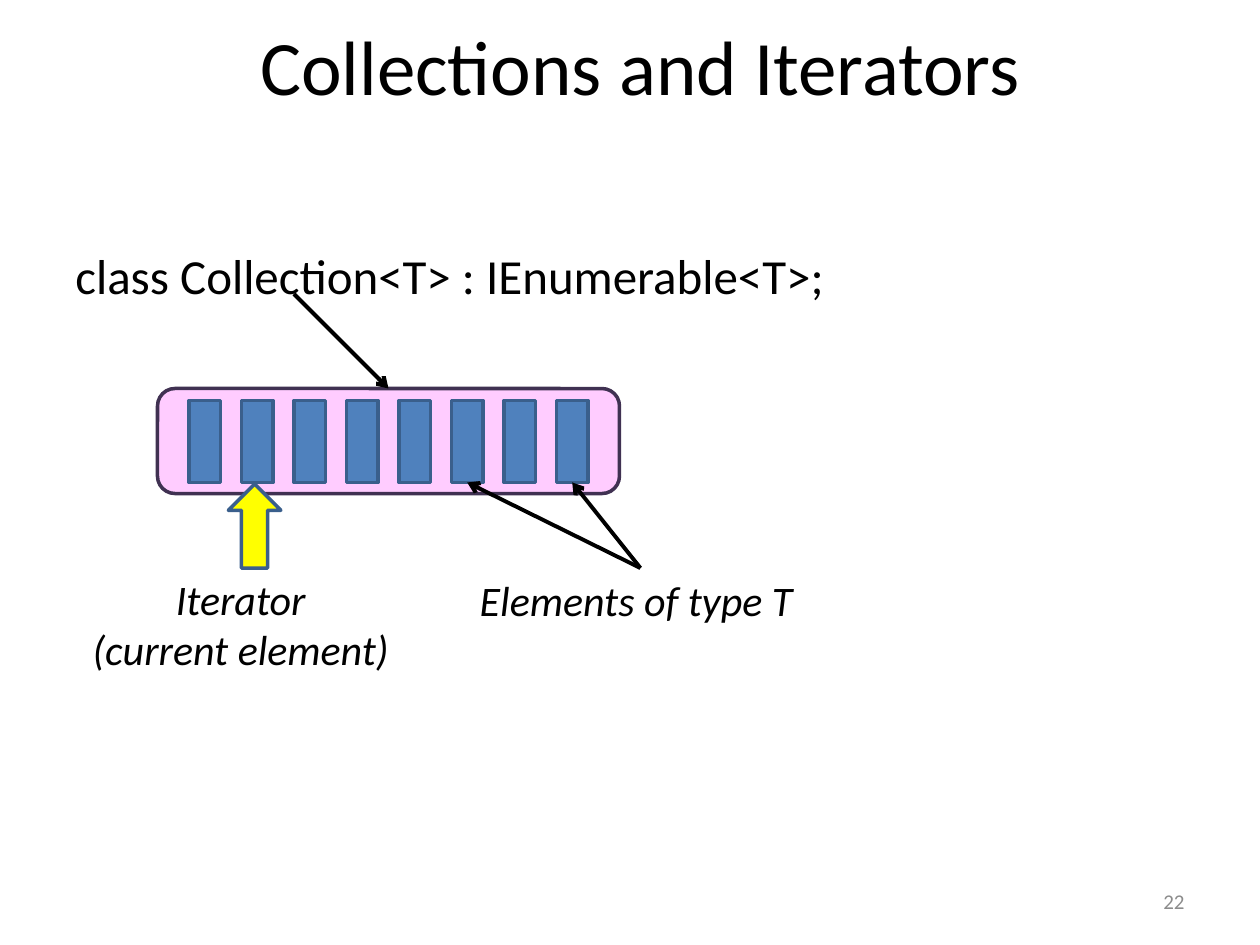
from dataclasses import dataclass

import pptx
import pptx.dml.color
import pptx.enum.shapes
import pptx.enum.text
import pptx.oxml.ns
import pptx.util
from lxml import etree

Align = pptx.enum.text.PP_ALIGN
Anchor = pptx.enum.text.MSO_ANCHOR
Shape = pptx.enum.shapes.MSO_SHAPE

# The slide is a grid of 24 columns by 18 rows of square cells.
COLUMNS, ROWS = 24, 18
WIDTH, HEIGHT = pptx.util.Inches(10), pptx.util.Inches(7.5)


@dataclass(frozen=True)
class Theme:
    font: str = "Calibri"
    ink: str = "000000"
    muted: str = "8C8C8C"
    collection: str = "FFCCFF"
    collection_edge: str = "403152"
    element: str = "4F81BD"
    element_edge: str = "3A5F8C"
    iterator: str = "FFFF00"
    title_size: int = 44
    code_size: int = 28
    label_size: int = 24
    number_size: int = 12
    edge: float = 2
    pointer: float = 2.25


THEME = Theme()


@dataclass(frozen=True)
class Area:
    column: float
    row: float
    columns: float
    rows: float

    def lengths(self) -> tuple:
        return across(self.column), down(self.row), across(self.columns), down(self.rows)


@dataclass(frozen=True)
class Label:
    area: Area
    lines: tuple
    size: int
    align: Align = Align.LEFT
    anchor: Anchor = Anchor.TOP
    color: str = THEME.ink
    italic: bool = False
    wrap: bool = True


@dataclass(frozen=True)
class Pointer:
    start: tuple
    end: tuple


def across(columns: float) -> int:
    return round(WIDTH * columns / COLUMNS)


def down(rows: float) -> int:
    return round(HEIGHT * rows / ROWS)


def rgb(color: str) -> pptx.dml.color.RGBColor:
    return pptx.dml.color.RGBColor.from_string(color)


def draw_label(slide, label: Label) -> None:
    frame = slide.shapes.add_textbox(*label.area.lengths()).text_frame
    frame.word_wrap = label.wrap
    frame.vertical_anchor = label.anchor
    for index, line in enumerate(label.lines):
        para = frame.add_paragraph() if index else frame.paragraphs[0]
        para.alignment = label.align
        span = para.add_run()
        span.text = line
        span.font.name = THEME.font
        span.font.size = pptx.util.Pt(label.size)
        span.font.italic = label.italic
        span.font.color.rgb = rgb(label.color)


def draw_shape(shapes, kind: Shape, area: Area, fill: str, edge: str) -> None:
    shape = shapes.add_shape(kind, *area.lengths())
    shape.shadow.inherit = False
    shape.fill.solid()
    shape.fill.fore_color.rgb = rgb(fill)
    shape.line.color.rgb = rgb(edge)
    shape.line.width = pptx.util.Pt(THEME.edge)


def draw_pointer(slide, pointer: Pointer) -> None:
    (x1, y1), (x2, y2) = pointer.start, pointer.end
    line = slide.shapes.add_connector(
        pptx.enum.shapes.MSO_CONNECTOR.STRAIGHT, across(x1), down(y1), across(x2), down(y2))
    line.line.color.rgb = rgb(THEME.ink)
    line.line.width = pptx.util.Pt(THEME.pointer)
    qn = pptx.oxml.ns.qn
    etree.SubElement(line.line._get_or_add_ln(), qn("a:tailEnd"), type="arrow")
    etree.SubElement(line._element.spPr, qn("a:effectLst"))


def draw_collection(slide) -> None:
    """Draw the container with its eight elements, one per grid column."""
    group = slide.shapes.add_group_shape()
    draw_shape(group.shapes, Shape.ROUNDED_RECTANGLE, Area(3, 7.4, 8.8, 2),
               THEME.collection, THEME.collection_edge)
    for index in range(8):
        draw_shape(group.shapes, Shape.RECTANGLE, Area(3.6 + index, 7.63, 0.6, 1.56),
                   THEME.element, THEME.element_edge)


LABELS = (
    Label(Area(1.4, 0, 21.6, 2.47), ("Collections and Iterators",), THEME.title_size,
          Align.CENTER, Anchor.MIDDLE),
    Label(Area(17.2, 16.68, 5.6, 0.96), ("22",), THEME.number_size,
          Align.RIGHT, Anchor.MIDDLE, THEME.muted),
    Label(Area(1.2, 4.56, 22, 7.7), ("class Collection<T> : IEnumerable<T>;",),
          THEME.code_size),
    Label(Area(8.9, 10.82, 6.6, 1.2), ("Elements of type T",), THEME.label_size,
          italic=True, wrap=False),
    Label(Area(1.44, 10.8, 6.29, 2.18), ("Iterator", "(current element)"),
          THEME.label_size, Align.CENTER, italic=True, wrap=False),
)
POINTERS = (
    Pointer((12.2, 10.82), (8.9, 9.19)),
    Pointer((5.6, 5.6), (7.4, 7.4)),
    Pointer((12.2, 10.82), (10.9, 9.19)),
)


def main() -> None:
    deck = pptx.Presentation()
    deck.slide_width, deck.slide_height = WIDTH, HEIGHT
    slide = deck.slides.add_slide(deck.slide_layouts[6])
    for label in LABELS:
        draw_label(slide, label)
    draw_collection(slide)
    draw_shape(slide.shapes, Shape.UP_ARROW, Area(4.35, 9.22, 1, 1.6),
               THEME.iterator, THEME.element_edge)
    for pointer in POINTERS:
        draw_pointer(slide, pointer)
    deck.save("out.pptx")


if __name__ == "__main__":
    main()
